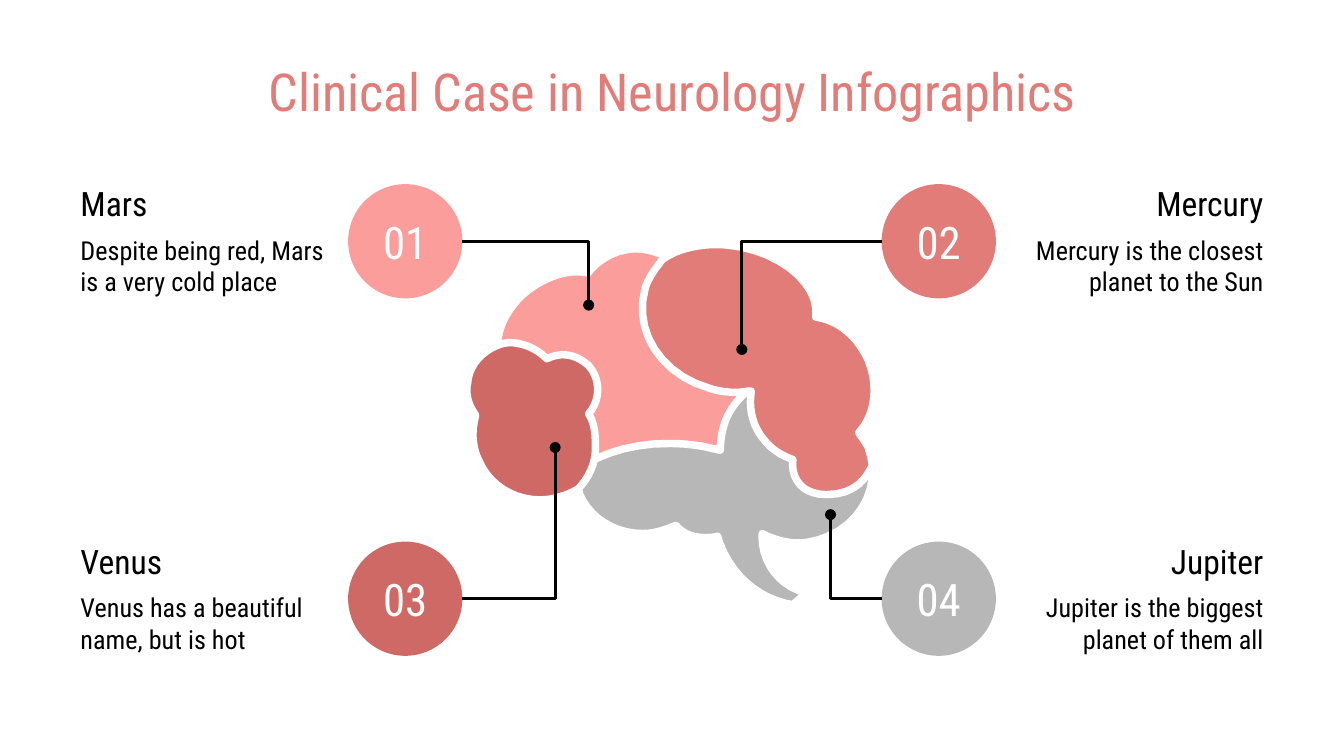
from dataclasses import dataclass

from lxml import etree
from pptx import Presentation
from pptx.dml.color import RGBColor
from pptx.enum.shapes import MSO_CONNECTOR, MSO_SHAPE
from pptx.enum.text import MSO_ANCHOR, PP_ALIGN
from pptx.oxml.ns import qn
from pptx.util import Inches, Pt

ELBOW, OVAL = MSO_CONNECTOR.ELBOW, MSO_SHAPE.OVAL
MIDDLE = MSO_ANCHOR.MIDDLE
LEFT, CENTER, RIGHT = PP_ALIGN.LEFT, PP_ALIGN.CENTER, PP_ALIGN.RIGHT

PINK = RGBColor(0xFB, 0x9D, 0x9A)
CORAL = RGBColor(0xE1, 0x7C, 0x78)
BRICK = RGBColor(0xCF, 0x69, 0x65)
GRAY = RGBColor(0xB7, 0xB7, 0xB7)
BLACK = RGBColor(0, 0, 0)
WHITE = RGBColor(0xFF, 0xFF, 0xFF)
FONT = "Roboto Condensed"

# Slide and grid, in inches
WIDTH = 10
HEIGHT = WIDTH * 9 / 16
MARGIN = 0.05 * WIDTH
BODY_WIDTH, BODY_HEIGHT = 2.09, 0.55
HEADING_WIDTH, HEADING_HEIGHT = 1.31, 0.37
DISC = 0.85
ROW_TOPS = (1.33, 3.99)
DISC_OFFSET = 0.04
UNITS = 1000  # freeform units per inch

Point = tuple[float, float]
Curve = tuple[float, float, float, float, float, float]

# Cubic curves along the brain, each as two handles and an end point
HINDBRAIN_EDGE: list[Curve] = [
    (3.6, 2.6, 3.49, 2.71, 3.48, 2.85), (3.46, 2.94, 3.49, 3.02, 3.54, 3.09),
    (3.51, 3.2, 3.51, 3.31, 3.56, 3.42), (3.64, 3.61, 3.82, 3.72, 4.02, 3.72),
    (4.09, 3.72, 4.17, 3.7, 4.24, 3.67),
]
UNDERSIDE: list[Curve] = [
    (4.26, 3.66, 4.28, 3.65, 4.3, 3.64), (4.31, 3.65, 4.31, 3.66, 4.31, 3.67),
    (4.39, 3.86, 4.58, 3.97, 4.78, 3.97), (4.85, 3.97, 4.93, 3.95, 5, 3.92),
    (5.01, 3.92, 5.02, 3.91, 5.03, 3.91), (5.08, 3.97, 5.16, 4, 5.24, 4),
    (5.27, 4, 5.3, 4, 5.34, 3.99), (5.35, 4.03, 5.37, 4.08, 5.39, 4.12),
    (5.5, 4.34, 5.7, 4.47, 5.9, 4.5), (5.93, 4.47, 5.96, 4.45, 5.99, 4.42),
    (5.99, 4.42, 5.99, 4.41, 5.99, 4.41), (5.8, 4.36, 5.67, 4.19, 5.67, 3.99),
    (5.67, 3.98, 5.67, 3.97, 5.67, 3.97), (5.75, 4.01, 5.84, 4.04, 5.94, 4.04),
    (6.01, 4.04, 6.09, 4.02, 6.16, 3.99), (6.43, 3.88, 6.56, 3.58, 6.46, 3.33),
    (6.44, 3.29, 6.41, 3.25, 6.39, 3.22),
]
FRONT_EDGE: list[Curve] = [
    (6.51, 3.09, 6.54, 2.88, 6.46, 2.68), (6.38, 2.5, 6.23, 2.38, 6.07, 2.36),
    (6.1, 2.14, 5.86, 1.91, 5.52, 1.84), (5.46, 1.83, 5.39, 1.82, 5.33, 1.82),
]
CROWN: list[Curve] = [
    (5.17, 1.82, 5.03, 1.86, 4.93, 1.93), (4.87, 1.9, 4.8, 1.88, 4.73, 1.88),
    (4.69, 1.88, 4.65, 1.89, 4.61, 1.9), (4.52, 1.93, 4.44, 1.99, 4.39, 2.06),
    (4.36, 2.06, 4.33, 2.05, 4.3, 2.05), (4.18, 2.05, 4.06, 2.1, 3.95, 2.18),
    (3.81, 2.29, 3.74, 2.43, 3.73, 2.56),
]
STEM_TOP: list[Curve] = [
    (5.76, 2.79, 5.6, 2.85, 5.49, 2.98), (5.4, 3.08, 5.36, 3.21, 5.36, 3.35),
    (5.34, 3.35, 5.33, 3.34, 5.31, 3.34), (5.2, 3.31, 5.08, 3.3, 4.97, 3.3),
    (4.59, 3.3, 4.25, 3.45, 4.08, 3.71), (4.13, 3.71, 4.19, 3.69, 4.24, 3.67),
]
STEM_FRONT: list[Curve] = [
    (6.44, 3.16, 6.48, 3.08, 6.5, 2.99), (6.32, 2.86, 6.12, 2.79, 5.94, 2.79),
]
FRONT_INNER: list[Curve] = [
    (5.17, 1.82, 5.03, 1.86, 4.93, 1.93), (4.93, 1.93, 4.82, 2.06, 4.8, 2.15),
    (4.71, 2.46, 4.92, 2.79, 5.28, 2.89), (5.34, 2.91, 5.41, 2.92, 5.48, 2.92),
    (5.52, 2.92, 5.55, 2.91, 5.59, 2.91), (5.57, 3.05, 5.6, 3.18, 5.7, 3.29),
    (5.75, 3.35, 5.82, 3.39, 5.9, 3.42), (5.88, 3.57, 5.98, 3.68, 6.14, 3.68),
    (6.15, 3.68, 6.16, 3.68, 6.16, 3.68), (6.42, 3.68, 6.48, 3.47, 6.49, 3.47),
    (6.49, 3.42, 6.47, 3.37, 6.46, 3.33), (6.44, 3.29, 6.41, 3.25, 6.39, 3.22),
]
HINDBRAIN_INNER: list[Curve] = [
    (4.26, 3.66, 4.28, 3.65, 4.3, 3.64), (4.3, 3.64, 4.45, 3.5, 4.43, 3.3),
    (4.43, 3.22, 4.42, 3.14, 4.38, 3.08), (4.47, 2.98, 4.47, 2.82, 4.38, 2.72),
    (4.32, 2.67, 4.26, 2.64, 4.19, 2.64), (4.15, 2.64, 4.11, 2.65, 4.07, 2.67),
    (4, 2.6, 3.9, 2.55, 3.79, 2.55), (3.77, 2.55, 3.73, 2.56, 3.73, 2.56),
]


@dataclass(frozen=True)
class Lobe:
    color: RGBColor
    outline: list[Curve]
    bordered: bool = True


@dataclass(frozen=True)
class Callout:
    number: str
    heading: str
    body: str
    color: RGBColor
    column: int
    row: int
    target: Point


LOBES = [
    Lobe(PINK, CROWN + HINDBRAIN_EDGE + UNDERSIDE + FRONT_EDGE, bordered=False),
    Lobe(GRAY, STEM_TOP + UNDERSIDE + STEM_FRONT),
    Lobe(CORAL, FRONT_INNER + FRONT_EDGE),
    Lobe(BRICK, HINDBRAIN_EDGE + HINDBRAIN_INNER),
]
CALLOUTS = [
    Callout("01", "Mars", "Despite being red, Mars is a very cold place", PINK, 0, 0, (4.38, 2.27)),
    Callout("02", "Mercury", "Mercury is the closest planet to the Sun", CORAL, 1, 0, (5.52, 2.6)),
    Callout("03", "Venus", "Venus has a beautiful name, but is hot", BRICK, 0, 1, (4.13, 3.33)),
    Callout("04", "Jupiter", "Jupiter is the biggest planet of them all", GRAY, 1, 1, (6.18, 3.83)),
]


def flatten(outline: list[Curve], steps: int = 10) -> list[Point]:
    """Points along a closed chain of curves, in freeform units."""
    x0, y0 = outline[-1][4:]
    points = [(x0 * UNITS, y0 * UNITS)]
    for x1, y1, x2, y2, x3, y3 in outline:
        for step in range(1, steps + 1):
            t = step / steps
            a, b, c, d = (1 - t) ** 3, 3 * t * (1 - t) ** 2, 3 * t * t * (1 - t), t ** 3
            points.append(((a * x0 + b * x1 + c * x2 + d * x3) * UNITS,
                           (a * y0 + b * y1 + c * y2 + d * y3) * UNITS))
        x0, y0 = x3, y3
    return points


def draw_lobe(shapes, lobe: Lobe) -> None:
    start, *rest = flatten(lobe.outline)
    builder = shapes.build_freeform(*start, scale=Inches(1) / UNITS)
    builder.add_line_segments(rest, close=True)
    shape = builder.convert_to_shape()
    shape.shadow.inherit = False
    shape.fill.solid()
    shape.fill.fore_color.rgb = lobe.color
    if lobe.bordered:
        shape.line.color.rgb = WHITE
        shape.line.width = Pt(4)
    else:
        shape.line.fill.background()


def write(shape, text: str, size: int, color: RGBColor, align) -> None:
    frame = shape.text_frame
    frame.text = text
    frame.word_wrap = True
    frame.vertical_anchor = MIDDLE
    frame.margin_left = frame.margin_right = Inches(0.1)
    frame.margin_top = frame.margin_bottom = Inches(0.1)
    paragraph = frame.paragraphs[0]
    paragraph.alignment = align
    font = paragraph.runs[0].font
    font.name, font.size, font.color.rgb = FONT, Pt(size), color


def add_text(shapes, left: float, top: float, width: float, height: float,
             text: str, size: int, color: RGBColor, align) -> None:
    box = shapes.add_textbox(Inches(left), Inches(top), Inches(width), Inches(height))
    write(box, text, size, color, align)


def draw_leader(shapes, start: Point, target: Point) -> None:
    """Runs level from the disc, then turns at the target's column."""
    leader = shapes.add_connector(ELBOW, *(Inches(v) for v in start + target))
    leader.line.color.rgb = BLACK
    leader.line.width = Pt(1.5)
    properties = leader._element.spPr
    guides = properties.find(qn("a:prstGeom")).get_or_add_avLst()
    etree.SubElement(guides, qn("a:gd"), name="adj1", fmla="val 100000")
    etree.SubElement(properties.find(qn("a:ln")), qn("a:tailEnd"), type="oval")
    etree.SubElement(properties, qn("a:effectLst"))


def draw_callout(shapes, callout: Callout) -> None:
    on_right = callout.column == 1
    align = RIGHT if on_right else LEFT
    top = ROW_TOPS[callout.row]

    def left_of(inset: float, width: float) -> float:
        return WIDTH - inset - width if on_right else inset

    add_text(shapes, left_of(MARGIN, BODY_WIDTH), top + HEADING_HEIGHT, BODY_WIDTH,
             BODY_HEIGHT, callout.body, 14, BLACK, align)
    add_text(shapes, left_of(MARGIN, HEADING_WIDTH), top, HEADING_WIDTH,
             HEADING_HEIGHT, callout.heading, 18, BLACK, align)

    disc_left, disc_top = left_of(MARGIN + BODY_WIDTH, DISC), top + DISC_OFFSET
    disc = shapes.add_shape(OVAL, Inches(disc_left), Inches(disc_top), Inches(DISC), Inches(DISC))
    disc.shadow.inherit = False
    disc.fill.solid()
    disc.fill.fore_color.rgb = callout.color
    disc.line.fill.background()
    write(disc, callout.number, 24, WHITE, CENTER)

    inner_edge = disc_left if on_right else disc_left + DISC
    draw_leader(shapes, (inner_edge, disc_top + DISC / 2), callout.target)


def main() -> None:
    presentation = Presentation()
    presentation.slide_width, presentation.slide_height = Inches(WIDTH), Inches(HEIGHT)
    shapes = presentation.slides.add_slide(presentation.slide_layouts[6]).shapes
    # Title
    add_text(shapes, MARGIN, 0.46, WIDTH - 2 * MARGIN, 0.43,
             "Clinical Case in Neurology Infographics", 28, CORAL, CENTER)
    # Brain
    for lobe in LOBES:
        draw_lobe(shapes, lobe)
    # Planets around the brain
    for callout in CALLOUTS:
        draw_callout(shapes, callout)
    presentation.save("out.pptx")


if __name__ == "__main__":
    main()
